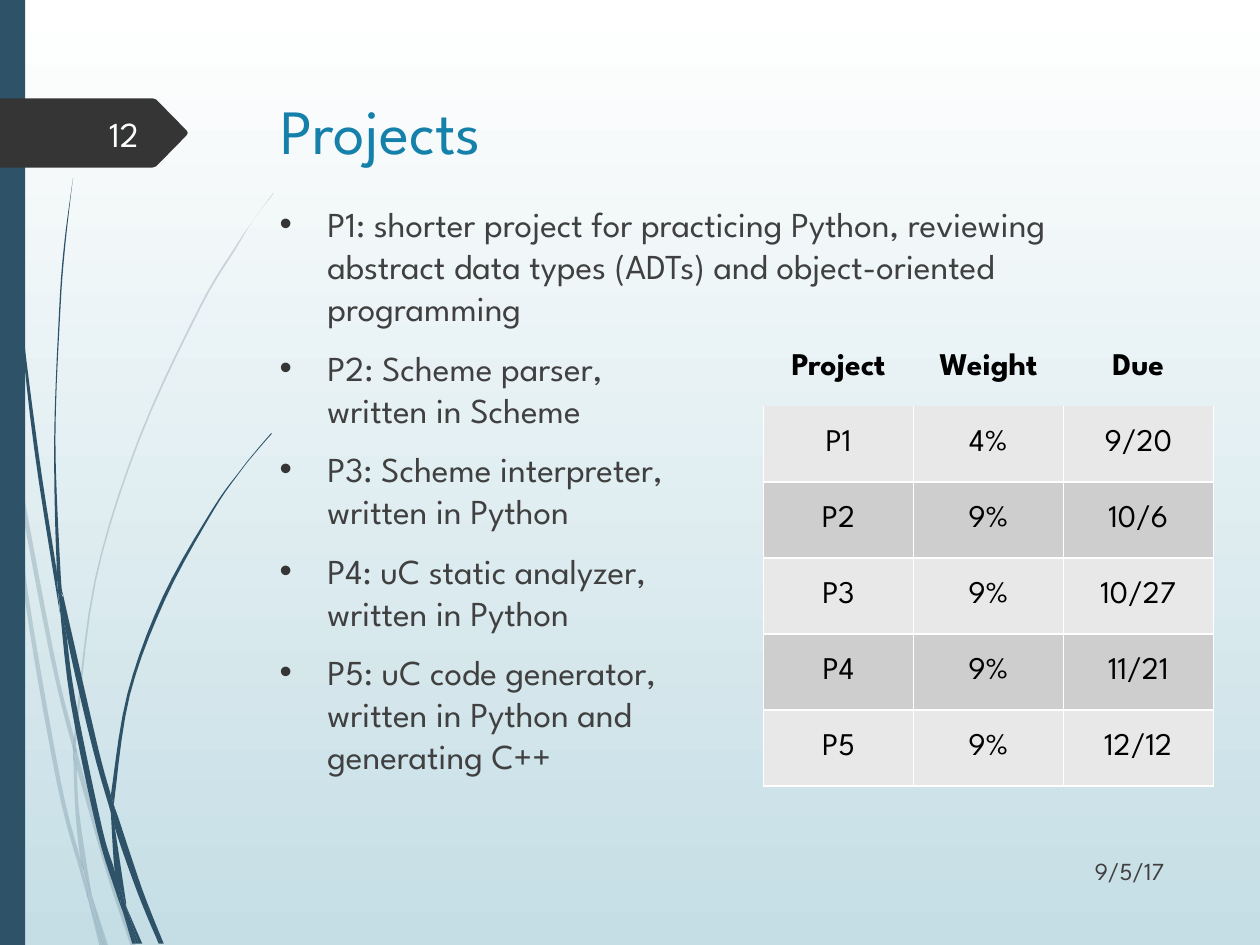
from lxml.etree import SubElement
from pptx import Presentation
from pptx.dml.color import RGBColor
from pptx.enum.shapes import MSO_SHAPE
from pptx.enum.text import MSO_ANCHOR, MSO_AUTO_SIZE, PP_ALIGN
from pptx.oxml.ns import qn
from pptx.util import Pt

PX = 9144  # 100 px to the inch
FONT = "League Spartan"
NAVY, CHARCOAL, BODY, TITLE = "2E5369", "353535", "404040", "1581AA"
WHITE, BLACK = "FFFFFF", "000000"

# Each blade of grass: its left edge downwards, its right edge back upwards
PALE_GRASS = [
    ([(0, 299), (7, 344), (8, 350)], [(8, 350), (6, 322), (0, 282)]),
    ([(12, 376), (40, 522), (59, 599)], [(59, 586), (43, 520), (10, 345)]),
    ([(61, 610), (85, 694), (104, 751)], [(108, 751), (88, 692), (64, 607), (61, 596)]),
    ([(73, 711), (83, 751)], [(86, 751), (73, 711)]),
    ([(8, 350), (19, 470), (45, 621), (64, 693), (70, 714)],
     [(69, 707), (64, 683), (48, 619), (22, 469), (12, 376)]),
    ([(58, 599), (60, 646), (64, 683), (67, 692), (73, 711)],
     [(72, 706), (63, 646), (61, 610), (61, 608)]),
    ([(217, 153), (201, 175), (186, 197), (158, 244), (110, 348), (75, 461), (59, 584), (59, 586)],
     [(61, 596), (61, 584), (76, 462), (111, 349), (159, 245), (187, 198), (201, 175), (217, 154)]),
    ([(70, 714), (79, 751)], [(82, 751), (70, 714)]),
    ([(59, 586), (58, 599), (61, 608)], [(61, 610), (61, 596)]),
    ([(65, 683), (69, 707), (70, 714), (82, 751)], [(83, 751), (73, 711), (67, 692)]),
]
DARK_GRASS = [
    ([(2, 0), (3, 48), (5, 110), (14, 233), (27, 355), (46, 477), (47, 481)],
     [(45, 457), (45, 453), (30, 355), (15, 232), (6, 109), (4, 48), (3, 0)]),
    ([(50, 472), (53, 505), (73, 592), (88, 645)], [(88, 633), (88, 631), (77, 590), (50, 472)]),
    ([(91, 641), (91, 656), (109, 708), (126, 749)], [(130, 749), (113, 706), (94, 649), (91, 641)]),
    ([(47, 477), (56, 557), (77, 659), (92, 708), (97, 722)],
     [(96, 717), (91, 691), (81, 657), (60, 556), (53, 505)]),
    ([(58, 141), (51, 193), (47, 245), (43, 349), (45, 449), (49, 472)],
     [(50, 472), (48, 453), (44, 349), (48, 245), (52, 193), (58, 141)]),
    ([(100, 719), (110, 749)], [(113, 749), (100, 719)]),
    ([(45, 449), (45, 453), (47, 477), (53, 505)], [(50, 472), (49, 472), (45, 449)]),
    ([(215, 344), (203, 358), (191, 373), (168, 405), (129, 474), (101, 551), (88, 631)],
     [(91, 641), (91, 633), (103, 552), (131, 476), (169, 406), (191, 374), (203, 359), (216, 344)]),
    ([(97, 722), (105, 749)], [(108, 749), (97, 722)]),
    ([(88, 645), (91, 691), (96, 706), (100, 719)], [(100, 716), (91, 656), (90, 651), (88, 645)]),
    ([(88, 631), (88, 645), (90, 651), (91, 656)], [(91, 641), (88, 631)]),
    ([(91, 691), (96, 717), (97, 722), (108, 749)], [(110, 749), (100, 719), (96, 706), (91, 691)]),
]
PROJECTS = [
    "P1: shorter project for practicing Python, reviewing abstract data types (ADTs) "
    "and object-oriented programming",
    "P2: Scheme parser,\vwritten in Scheme",
    "P3: Scheme interpreter,\vwritten in Python",
    "P4: uC static analyzer,\vwritten in Python",
    "P5: uC code generator,\vwritten in Python and\vgenerating C++",
]
SCHEDULE = [
    ("Project", "Weight", "Due"),
    ("P1", "4%", "9/20"),
    ("P2", "9%", "10/6"),
    ("P3", "9%", "10/27"),
    ("P4", "9%", "11/21"),
    ("P5", "9%", "12/12"),
]


def rgb(color):
    return RGBColor.from_string(color)


def emu(*lengths):
    return [round(v * PX) for v in lengths]


def paint(sp, color):
    sp.fill.solid()
    sp.fill.fore_color.rgb = rgb(color)
    sp.line.fill.background()
    sp.shadow.inherit = False


def write(p, text, size, color, align=PP_ALIGN.LEFT, bold=False):
    p.text = text
    p.alignment = align
    for r in p.runs:
        for name, value in {"name": FONT, "size": Pt(size), "bold": bold}.items():
            setattr(r.font, name, value)
        r.font.color.rgb = rgb(color)


def smooth(edge, steps=5):
    """Run a Catmull-Rom curve through the points of an edge."""
    pts = [edge[0], *edge, edge[-1]]
    curve = [edge[0]]
    for a, b, c, d in zip(pts, pts[1:], pts[2:], pts[3:]):
        for t in (i / steps for i in range(1, steps + 1)):
            curve.append(tuple(
                (2 * q + (r - o) * t + (2 * o - 5 * q + 4 * r - u) * t ** 2
                 + (3 * q - o - 3 * r + u) * t ** 3) / 2
                for o, q, r, u in zip(a, b, c, d)))
    return curve


def add_outline(shapes, points, color):
    start, *rest = [emu(*pt) for pt in points]
    builder = shapes.build_freeform(*start)
    builder.add_line_segments(rest, close=True)
    sp = builder.convert_to_shape()
    paint(sp, color)
    return sp


def add_grass(s, blades, color, opacity=None):
    group = s.shapes.add_group_shape()
    for left, right in blades:
        sp = add_outline(group.shapes, smooth(left) + smooth(right), color)
        if opacity:
            clr = sp.fill._xPr.find(qn("a:solidFill"))[0]
            SubElement(clr, qn("a:alpha"), val=str(opacity * 1000))


def add_number_tag(s, x, y, w, h):
    tip, mid = x + w, y + h / 2
    add_outline(s.shapes, [(x, y), (tip - 28, y), (tip - 25, y + 1), (tip - 1, mid - 2),
                           (tip, mid), (tip - 1, mid + 2), (tip - 25, y + h - 1),
                           (tip - 28, y + h), (x, y + h)], CHARCOAL)


def add_label(s, box, text, size, color):
    tf = s.shapes.add_textbox(*emu(*box)).text_frame
    tf.word_wrap = True
    tf.vertical_anchor = MSO_ANCHOR.MIDDLE
    write(tf.paragraphs[0], text, size, color, PP_ALIGN.RIGHT)


def add_title(s, box, text):
    sp = s.shapes.title
    sp.left, sp.top, sp.width, sp.height = emu(*box)
    tf = sp.text_frame
    tf.auto_size = MSO_AUTO_SIZE.NONE
    tf.vertical_anchor = MSO_ANCHOR.TOP
    write(tf.paragraphs[0], text, 36, TITLE)


def add_bullets(s, box, items):
    tf = s.shapes.add_textbox(*emu(*box)).text_frame
    tf.word_wrap = True
    for i, item in enumerate(items):
        p = tf.add_paragraph() if i else tf.paragraphs[0]
        write(p, item, 20, BODY)
        p.space_before = Pt(10)
        pPr = p._p.get_or_add_pPr()
        indent = emu(38)[0]
        pPr.set("marL", str(indent))
        pPr.set("indent", str(-indent))
        SubElement(SubElement(pPr, qn("a:buClr")), qn("a:srgbClr"), val=CHARCOAL)
        SubElement(pPr, qn("a:buFont"), typeface="Arial")
        SubElement(pPr, qn("a:buChar"), char="•")


def set_borders(cell, sides):
    tcPr = cell._tc.get_or_add_tcPr()
    for side in "LRTB":
        ln = SubElement(tcPr, qn(f"a:ln{side}"), w=str(Pt(1)))
        if side in sides:
            SubElement(SubElement(ln, qn("a:solidFill")), qn("a:srgbClr"), val=WHITE)
        else:
            SubElement(ln, qn("a:noFill"))


def add_schedule(s, box, rows):
    table = s.shapes.add_table(len(rows), len(rows[0]), *emu(*box)).table
    table.first_row = table.horz_banding = False
    for i, row in enumerate(rows):
        for j, text in enumerate(row):
            cell = table.cell(i, j)
            cell.vertical_anchor = MSO_ANCHOR.MIDDLE
            write(cell.text_frame.paragraphs[0], text, 18, BLACK, PP_ALIGN.CENTER, bold=i == 0)
            set_borders(cell, ("", "LRB")[i] if i < 2 else "LRTB")
            if i:
                cell.fill.solid()
                cell.fill.fore_color.rgb = rgb("E8E8E8" if i % 2 else "CECECE")
            else:
                cell.fill.background()


def main():
    prs = Presentation()
    prs.slide_width, prs.slide_height = emu(1000, 750)
    s = prs.slides.add_slide(prs.slide_layouts[5])

    # Background, white at the top
    fill = s.background.fill
    fill.gradient()
    fill.gradient_angle = 270
    for stop, color in zip(fill.gradient_stops, (WHITE, "C5DEE5")):
        stop.color.rgb = rgb(color)

    # Decoration on the left
    add_grass(s, PALE_GRASS, NAVY, opacity=20)
    add_grass(s, DARK_GRASS, NAVY)
    paint(s.shapes.add_shape(MSO_SHAPE.RECTANGLE, *emu(0, 0, 20, 750)), NAVY)
    add_number_tag(s, 0, 78, 149, 55)

    # Content
    add_title(s, (213, 68, 721, 75), "Projects")
    add_bullets(s, (212, 156, 721, 500), PROJECTS)
    add_label(s, (801, 671, 133, 40), "9/5/17", 14, BODY)
    add_label(s, (56, 86, 64, 40), "12", 20, "FEFFFF")
    add_schedule(s, (606, 262, 357, 362), SCHEDULE)
    prs.save("out.pptx")


if __name__ == "__main__":
    main()
